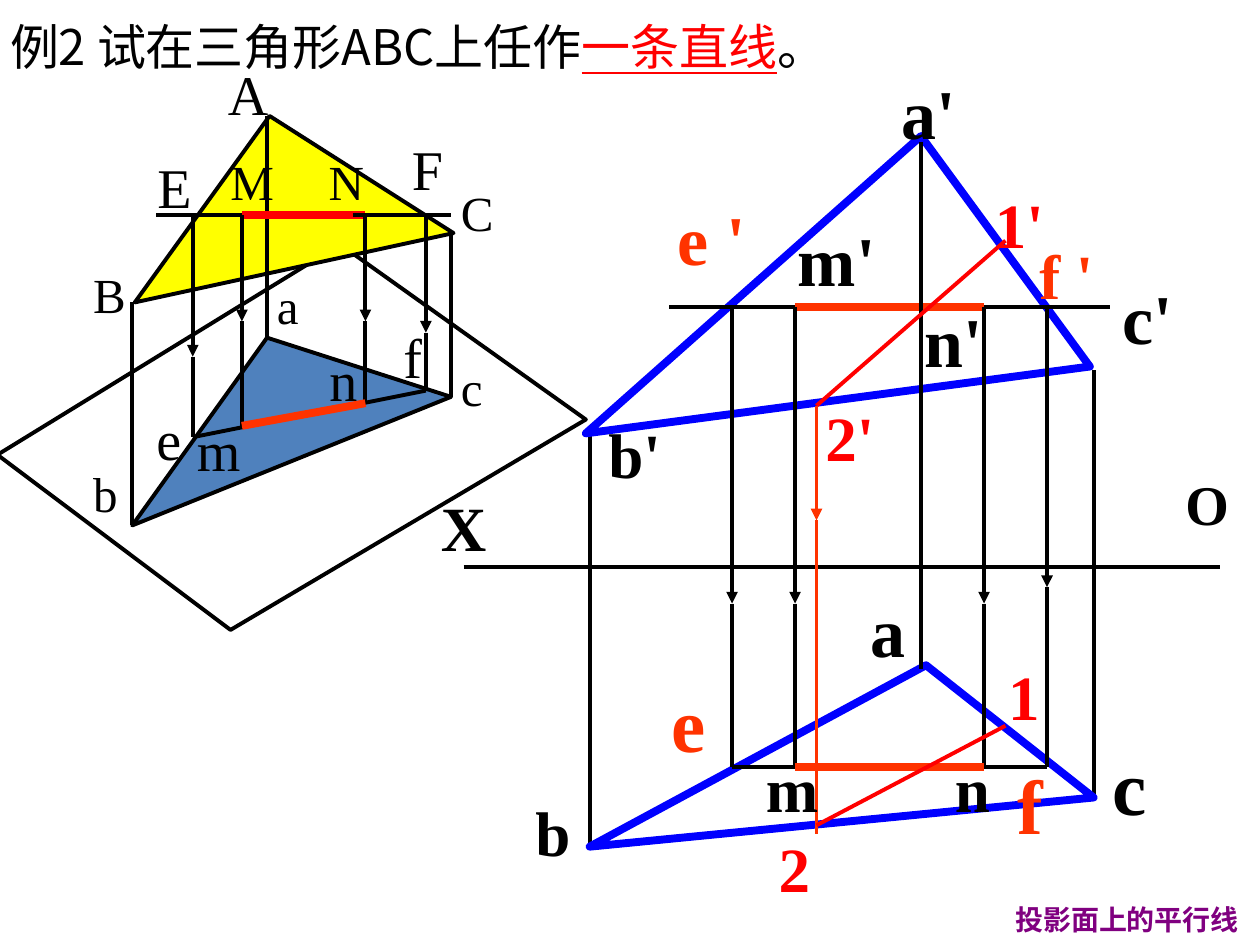
from dataclasses import dataclass

from lxml import etree
from pptx import Presentation
from pptx.dml.color import RGBColor
from pptx.enum.shapes import MSO_CONNECTOR
from pptx.enum.text import MSO_ANCHOR, MSO_AUTO_SIZE, PP_ALIGN
from pptx.oxml.ns import qn
from pptx.util import Inches, Pt

STRAIGHT = MSO_CONNECTOR.STRAIGHT
MIDDLE = MSO_ANCHOR.MIDDLE
GROW, FIXED = MSO_AUTO_SIZE.SHAPE_TO_FIT_TEXT, MSO_AUTO_SIZE.NONE
LEFT, CENTER = PP_ALIGN.LEFT, PP_ALIGN.CENTER
SERIF, HAN = "Times New Roman", "Noto Sans CJK SC"
COLORS = {
    "black": "000000", "white": "FFFFFF", "red": "FF0000", "orange": "FF3300",
    "blue": "0000FF", "steel": "4F81BD", "yellow": "FFFF00", "purple": "800080",
}
THIN, THICK = 2.25, 4.5


@dataclass
class Label:
    text: str
    left: float
    top: float
    width: float
    size: int = 28
    color: str = "black"
    bold: bool = False
    align: PP_ALIGN = LEFT
    wrap: bool = False
    font: str = SERIF


@dataclass
class Line:
    start: tuple[float, float]
    end: tuple[float, float]
    color: str = "black"
    weight: float = THIN
    arrow: bool = False


@dataclass
class Ray:
    """Vertical projector with an arrowhead part of the way down."""
    x: float
    top: float
    arrow: float
    bottom: float
    color: str = "black"


@dataclass
class Polygon:
    points: list[tuple[float, float]]
    fill: str | None = None
    color: str = "black"
    weight: float = THIN


def rgb(name: str) -> RGBColor:
    return RGBColor.from_string(COLORS[name])


def draw_label(shapes, label: Label) -> None:
    height = label.size / 60 + 0.1
    box = shapes.add_textbox(Inches(label.left), Inches(label.top),
                             Inches(label.width), Inches(height))
    frame = box.text_frame
    frame.text = label.text
    frame.word_wrap = label.wrap
    frame.auto_size = GROW
    frame.vertical_anchor = MIDDLE
    para = frame.paragraphs[0]
    para.alignment = label.align
    font = para.runs[0].font
    font.name, font.size, font.bold = label.font, Pt(label.size), label.bold
    font.color.rgb = rgb(label.color)


def draw_line(shapes, line: Line) -> None:
    ends = [Inches(value) for value in (*line.start, *line.end)]
    connector = shapes.add_connector(STRAIGHT, *ends)
    connector.line.color.rgb = rgb(line.color)
    connector.line.width = Pt(line.weight)
    if line.arrow:
        outline = connector.line._get_or_add_ln()
        etree.SubElement(outline, qn("a:tailEnd"), type="triangle")
    etree.SubElement(connector._element.spPr, qn("a:effectLst"))


def draw_ray(shapes, ray: Ray) -> None:
    middle = (ray.x, ray.arrow)
    draw_line(shapes, Line((ray.x, ray.top), middle, ray.color, arrow=True))
    draw_line(shapes, Line(middle, (ray.x, ray.bottom), ray.color))


def draw_polygon(shapes, polygon: Polygon) -> None:
    points = [(Inches(x), Inches(y)) for x, y in polygon.points]
    builder = shapes.build_freeform(*points[0])
    builder.add_line_segments(points[1:], close=True)
    shape = builder.convert_to_shape()
    shape.shadow.inherit = False
    if polygon.fill:
        shape.fill.solid()
        shape.fill.fore_color.rgb = rgb(polygon.fill)
    else:
        shape.fill.background()
    shape.line.color.rgb = rgb(polygon.color)
    shape.line.width = Pt(polygon.weight)


DRAW = {Label: draw_label, Line: draw_line, Ray: draw_ray, Polygon: draw_polygon}


def draw_all(shapes, parts: list) -> None:
    for part in parts:
        DRAW[type(part)](shapes, part)


def write_title(title) -> None:
    title.left, title.top = Inches(-0.02), Inches(0.08)
    title.width, title.height = Inches(7.91), Inches(0.57)
    frame = title.text_frame
    frame.word_wrap, frame.auto_size = True, FIXED
    frame.vertical_anchor = MIDDLE
    para = frame.paragraphs[0]
    para.alignment = LEFT
    for text, name, color in (("例", SERIF, "black"),
                              ("2 试在三角形ABC上任作", HAN, "black"),
                              ("一条直线", HAN, "red"), ("。", HAN, "black")):
        span = para.add_run()
        span.text = text
        span.font.name, span.font.size = name, Pt(28)
        span.font.color.rgb = rgb(color)
        span.font.underline = color == "red"
        etree.SubElement(span.font._element, qn("a:ea"), typeface=HAN)


# Spatial view: triangle ABC above the horizontal plane
SPATIAL = [
    Polygon([(-0.02, 3.61), (1.83, 5), (4.65, 3.33), (2.7, 1.94)]),
    Polygon([(1.05, 4.17), (2.12, 2.68), (3.58, 3.15)], "steel"),
    Polygon([(1.07, 2.4), (3.6, 1.85), (2.14, 0.92)], "yellow"),
    Line((3.58, 3.15), (3.58, 1.85)),
    Line((2.12, 0.92), (2.12, 2.68)),
    Line((1.05, 2.4), (1.05, 4.17)),
    Line((1.92, 1.71), (2.9, 1.71), "red", THICK),
    Line((1.92, 1.71), (1.24, 1.71)),
    Line((2.8, 1.71), (3.58, 1.71)),
    Ray(1.53, 1.71, 2.83, 3.47),
    Ray(3.38, 1.71, 2.64, 3.1),
    Line((1.53, 3.47), (3.38, 3.1)),
    Ray(1.92, 1.71, 2.55, 3.38),
    Ray(2.9, 1.71, 2.55, 3.2),
    Line((2.9, 3.2), (1.92, 3.38), "orange", THICK),
    Label("A", 1.71, 0.42, 0.52, 32), Label("B", 0.64, 2.05, 0.46),
    Label("C", 3.56, 1.4, 0.46), Label("a", 2.1, 2.14, 0.37),
    Label("b", 0.64, 3.63, 0.39), Label("c", 3.56, 2.79, 0.37),
    Label("M", 1.73, 1.15, 0.55), Label("N", 2.51, 1.15, 0.48),
    Label("E", 1.15, 1.16, 0.47, 32), Label("F", 3.17, 1.02, 0.45, 32),
    Label("e", 1.14, 3.16, 0.4, 32, align=CENTER),
    Label("f", 3.1, 2.51, 0.35, 32, align=CENTER),
    Label("m", 1.46, 3.25, 0.55, 32, align=CENTER),
    Label("n", 2.51, 2.69, 0.43, 32, align=CENTER, wrap=True),
]

# Two-view projection: front view above the X-O axis, top view below
FRONT, TOP = 2.44, 6.09
E, M, N, F = 5.81, 6.31, 7.81, 8.31
PROJECTION = [
    Line((4.68, 3.46), (4.68, 6.72)),
    Line((8.68, 2.94), (8.68, 6.33)),
    Line((3.68, 4.5), (9.68, 4.5)),
    Polygon([(4.65, 3.44), (8.65, 2.91), (7.31, 1.08)], "white", "blue", THICK),
    Polygon([(4.68, 6.72), (7.35, 5.28), (8.68, 6.33)], "white", "blue", THICK),
    Line((M, FRONT), (N, FRONT), "orange", THICK),
    Line((M, FRONT), (5.31, FRONT)),
    Line((N, FRONT), (8.81, FRONT)),
    Ray(F, FRONT, 4.66, TOP),
    *[Ray(x, FRONT, 4.79, TOP) for x in (E, M, N)],
    Line((7.31, 1.13), (7.31, 5.31)),
    Line((E, TOP), (F, TOP)),
    Line((M, TOP), (N, TOP), "orange", THICK),
    Line((6.48, 3.22), (7.98, 1.91), "red"),
    Ray(6.48, 3.22, 4.13, 6.62, "orange"),
    Line((6.48, 6.55), (7.98, 5.76), "red"),
    Label("a'", 7.06, 0.5, 0.75, 40, bold=True, wrap=True),
    Label("b'", 4.73, 3.25, 0.62, 36, bold=True, wrap=True),
    Label("c'", 8.81, 2.13, 0.6, 40, bold=True),
    Label("a", 6.81, 4.61, 0.48, 40, bold=True),
    Label("b", 4.15, 6.25, 0.48, 36, bold=True),
    Label("c", 8.73, 5.81, 0.47, 44, bold=True),
    Label("X", 3.4, 3.83, 0.56, 36, bold=True),
    Label("O", 9.31, 3.68, 0.55, 32, bold=True),
    Label("e '", 5.28, 1.5, 0.74, 40, "orange", True),
    Label("f '", 8.15, 1.83, 0.63, 36, "orange", True),
    Label("e", 5.23, 5.31, 0.47, 44, "orange", True),
    Label("f", 7.98, 5.96, 0.59, 44, "orange", True, wrap=True),
    Label("m'", 6.23, 1.67, 0.82, 40, bold=True, align=CENTER),
    Label("n'", 7.24, 2.31, 0.66, 40, bold=True, align=CENTER),
    Label("m", 5.98, 5.9, 0.51, 36, bold=True, wrap=True),
    Label("n", 7.48, 5.9, 0.33, 36, bold=True, wrap=True),
    Label("1'", 7.47, 1.42, 1.24, 36, "red", True, CENTER, True),
    Label("2'", 6.45, 3.11, 0.59, 36, "red", True, CENTER),
    Label("1", 7.9, 5.17, 0.45, 36, "red", True, CENTER),
    Label("2", 6.08, 6.53, 0.45, 36, "red", True, CENTER),
]
FOOTER = Label("投影面上的平行线", 7.95, 7.11, 1.99, 16, "purple", True, CENTER,
               font="Cambria")


def main() -> None:
    deck = Presentation()
    deck.slide_width, deck.slide_height = Inches(10), Inches(7.5)
    page = deck.slides.add_slide(deck.slide_layouts[5])
    write_title(page.shapes.title)
    draw_all(page.shapes.add_group_shape().shapes, SPATIAL)
    draw_all(page.shapes, [*PROJECTION, FOOTER])
    deck.save("out.pptx")


if __name__ == "__main__":
    main()
